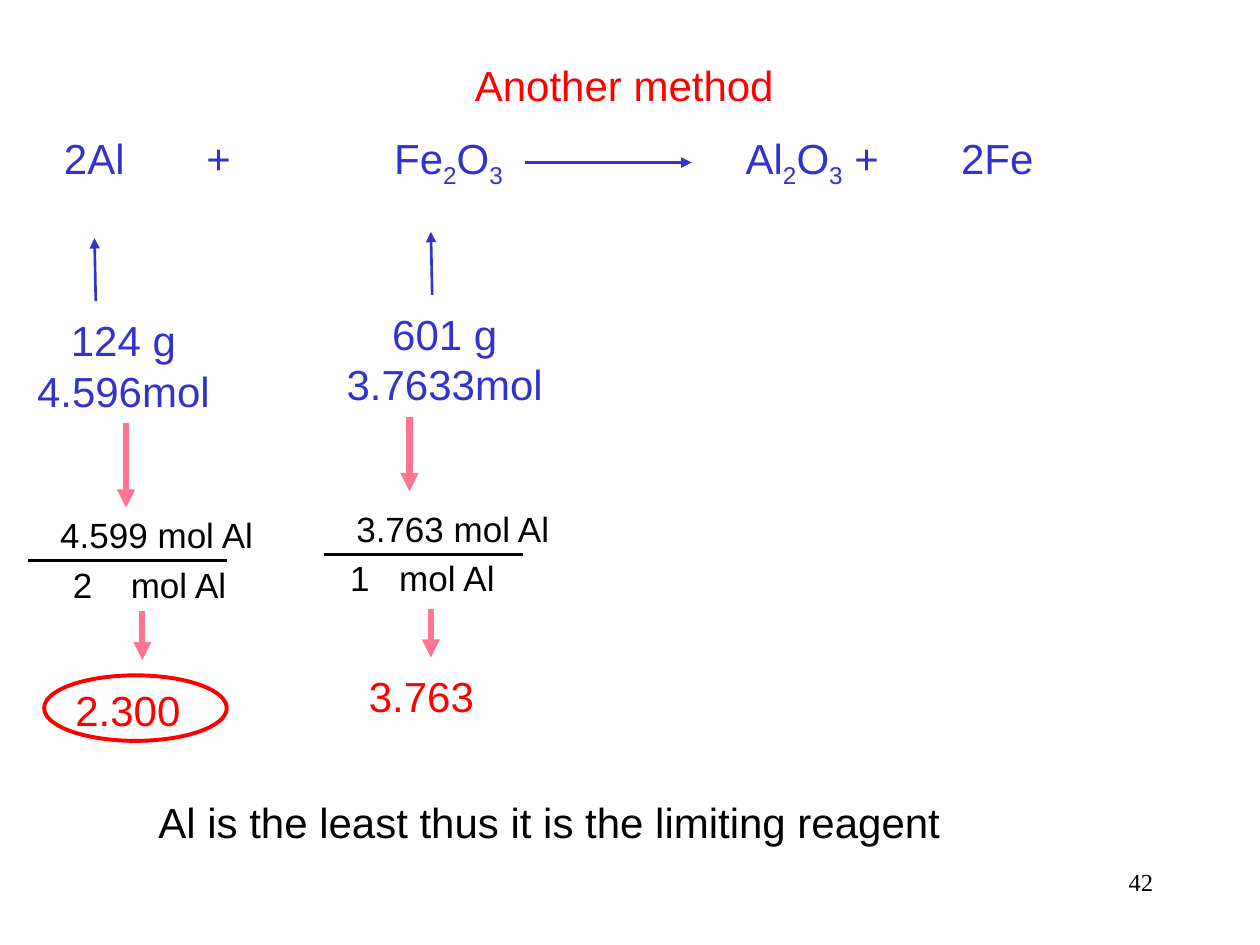
from lxml import etree
from pptx import Presentation
from pptx.dml.color import RGBColor
from pptx.enum.shapes import MSO_CONNECTOR, MSO_SHAPE
from pptx.enum.text import PP_ALIGN
from pptx.oxml.ns import qn
from pptx.util import Inches, Pt

LEFT, CENTER, RIGHT = PP_ALIGN.LEFT, PP_ALIGN.CENTER, PP_ALIGN.RIGHT
STRAIGHT = MSO_CONNECTOR.STRAIGHT
OVAL = MSO_SHAPE.OVAL

COLORS = {"red": "FF0000", "blue": "3333CC", "pink": "FF7591", "black": "000000"}


def rgb(name):
    return RGBColor.from_string(COLORS[name])


def add_text(s, box, lines, color="black", size=24, align=LEFT, tabs=(), font="Arial"):
    sp = s.shapes.add_textbox(*(Inches(v) for v in box))
    tf = sp.text_frame
    tf.word_wrap = True
    for i, line in enumerate(lines):
        p = tf.paragraphs[0] if i == 0 else tf.add_paragraph()
        p.alignment = align
        if tabs:
            tab_list = etree.SubElement(p._p.get_or_add_pPr(), qn("a:tabLst"))
            for pos in tabs:
                etree.SubElement(tab_list, qn("a:tab"), pos=str(Inches(pos)), algn="l")
        for j, part in enumerate(line.split("_")):
            r = p.add_run()
            r.text = part
            for key, value in {"name": font, "size": Pt(size)}.items():
                setattr(r.font, key, value)
            r.font.color.rgb = rgb(color)
            if j % 2:
                r._r.get_or_add_rPr().set("baseline", "-25000")


def add_line(s, start, end, color, width, arrow=True):
    ends = (Inches(v) for v in (*start, *end))
    c = s.shapes.add_connector(STRAIGHT, *ends)
    c.line.color.rgb = rgb(color)
    c.line.width = Pt(width)
    sp_pr = c._element.spPr
    if arrow:
        etree.SubElement(sp_pr.find(qn("a:ln")), qn("a:tailEnd"), type="triangle")
    etree.SubElement(sp_pr, qn("a:effectLst"))


def add_equation(s, box):
    x, y, w, h = box
    add_text(s, box, ["2Al\t+\tFe_2_O_3_\tAl_2_O_3_ +\t2Fe"], "blue",
             tabs=(1.13, 2.62, 5.41, 7.12))
    add_line(s, (x + 3.76, y + 0.29), (x + 5.08, y + 0.29), "blue", 2)


def add_amount(s, box, lines, arrow_x):
    x, y, w, h = box
    add_line(s, (x + arrow_x, y - 0.06), (x + arrow_x - 0.01, y - 0.56), "blue", 1.5)
    add_text(s, box, lines, "blue", align=CENTER)


def add_fraction(s, box, top, bottom, indent, tab):
    x, y, w, h = box
    add_text(s, (x + 0.16, y, w, 0.44), [top], size=20)
    add_text(s, (x + indent, y + 0.39, w, 0.44), [bottom], size=20, tabs=(tab,))
    add_line(s, (x, y + 0.42), (x + 1.58, y + 0.42), "black", 1.75, arrow=False)


def add_result(s, box, value, circled=False):
    x, y, w, h = box
    add_text(s, box, [value], "red")
    if circled:
        oval = (x - 0.15, y - 0.02, 1.45, 0.52)
        sp = s.shapes.add_shape(OVAL, *(Inches(v) for v in oval))
        sp.shadow.inherit = False
        sp.fill.background()
        sp.line.color.rgb = rgb("red")
        sp.line.width = Pt(2.25)


def add_steps(s, arrows):
    for x, top, bottom in arrows:
        add_line(s, (x, top), (x, bottom), "pink", 3.5)


def main():
    prs = Presentation()
    prs.slide_width, prs.slide_height = Inches(10), Inches(7.5)
    s = prs.slides.add_slide(prs.slide_layouts[6])

    add_text(s, (7.17, 6.83, 2.08, 0.5), ["42"], size=14, align=RIGHT,
             font="Times New Roman")
    add_text(s, (3.67, 0.42, 3.25, 0.5), ["Another method"], "red")
    add_equation(s, (0.41, 1, 8, 0.56))
    add_amount(s, (2.58, 2.4, 1.9, 0.9), ["601 g", "3.7633mol"], 0.85)
    add_amount(s, (0.13, 2.45, 1.7, 0.9), ["124 g", "4.596mol"], 0.63)
    add_fraction(s, (0.22, 4.03, 1.9, 0.83), "4.599 mol Al", "2\tmol Al", 0.26, 0.46)
    add_fraction(s, (2.57, 3.98, 1.9, 0.83), "3.763 mol Al", "1\tmol Al", 0.11, 0.39)
    add_result(s, (0.5, 5.38, 1.35, 0.5), "2.300", circled=True)
    add_result(s, (2.83, 5.27, 2, 0.5), "3.763")
    add_text(s, (1.06, 6.27, 6.6, 0.5),
             ["Al is the least thus it is the limiting reagent"], align=CENTER)
    add_steps(s, [(1, 3.36, 4.03), (3.25, 3.31, 3.9),
                  (1.13, 4.85, 5.24), (3.42, 4.83, 5.22)])
    prs.save("out.pptx")


if __name__ == "__main__":
    main()
